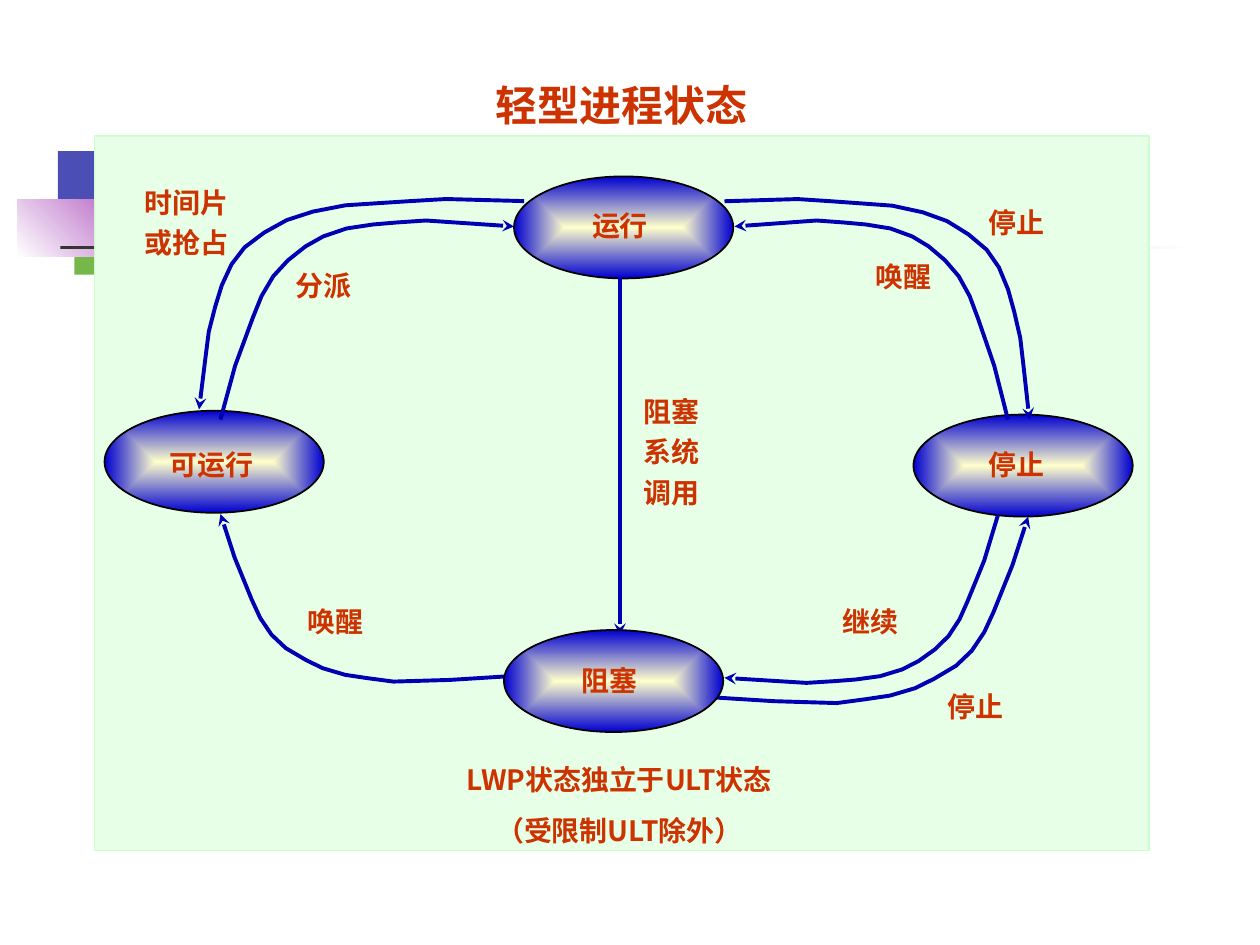
from lxml import etree
from pptx import Presentation
from pptx import util as u
from pptx.dml.color import RGBColor
from pptx.enum import shapes, text
from pptx.oxml.ns import qn

COLUMNS, ROWS = 10, 7.5
SLIDE_WIDTH, SLIDE_HEIGHT = u.Inches(10), u.Inches(7.5)
FONT = "Noto Sans CJK SC"
COLORS = {
    "text": "CC3300", "arrow": "0000B2", "panel": "E7FFE7", "panel_edge": "CCFFCC",
    "state_core": "FFFFCC", "state_rim": "0000D0", "state_edge": "000000",
    "blue": "4B4EB5", "green": "76B749", "purple": "C481CF",
    "dark": "333333", "white": "FFFFFF",
}
STATE_SIZE = (1.74, 0.81)

INNER_BEND = [
    (0, 0.03), (0.2, 0.01), (0.3, 0), (0.4, 0.01), (0.48, 0.02), (0.57, 0.04),
    (0.65, 0.08), (0.71, 0.13), (0.77, 0.2), (0.82, 0.28), (0.86, 0.38),
    (0.89, 0.49), (0.92, 0.61), (0.95, 0.73), (1, 1),
]
OUTER_BEND = [
    (0, 0.01), (0.24, 0), (0.35, 0.01), (0.45, 0.02), (0.55, 0.03), (0.65, 0.06),
    (0.73, 0.1), (0.8, 0.16), (0.86, 0.23), (0.9, 0.31), (0.93, 0.41),
    (0.95, 0.51), (0.97, 0.63), (0.98, 0.75), (1, 1),
]
LOWER_BEND = [
    (0, 0.03), (0.19, 0.01), (0.39, 0), (0.48, 0.02), (0.56, 0.04), (0.64, 0.08),
    (0.7, 0.13), (0.77, 0.2), (0.82, 0.28), (0.86, 0.38), (0.89, 0.49),
    (0.95, 0.74), (1, 1),
]
TRANSITIONS = [
    (LOWER_BEND, 4, 5.41, -2.25, -1.33, "tailEnd"),
    (LOWER_BEND, 5.67, 5.58, 2.49, -1.48, "tailEnd"),
    (INNER_BEND, 5.83, 1.75, 2.17, 1.58, "headEnd"),
    (INNER_BEND, 4.08, 1.75, -2.33, 1.58, "headEnd"),
    (OUTER_BEND, 5.75, 1.58, 2.42, 1.75, "tailEnd"),
    (OUTER_BEND, 4.16, 1.58, -2.58, 1.67, "tailEnd"),
    (INNER_BEND, 5.75, 5.42, 2.17, -1.33, "headEnd"),
]
LABELS = [
    ("分派", 2.25, 2.08, 0.65, 0.37),
    ("唤醒", 6.85, 2.01, 0.65, 0.37),
    ("继续", 6.59, 4.75, 0.65, 0.37),
    ("时间片\n或抢占", 1.05, 1.42, 0.87, 0.69),
    ("停止", 7.75, 3.5, 0.65, 0.37),
    ("运行", 4.6, 1.61, 0.65, 0.37),
    ("阻塞\n系统\n调用", 5.01, 3.08, 0.65, 1.01),
    ("停止", 7.42, 5.42, 0.65, 0.37),
    ("停止", 7.75, 1.58, 0.65, 0.37),
    ("可运行", 1.25, 3.5, 0.87, 0.37),
    ("阻塞", 4.52, 5.22, 0.65, 0.37),
    ("唤醒", 2.34, 4.75, 0.65, 0.37),
]


def col(count):
    return round(SLIDE_WIDTH * count / COLUMNS)


def row(count):
    return round(SLIDE_HEIGHT * count / ROWS)


def area(left, top, width, height):
    return col(left), row(top), col(width), row(height)


def color(name):
    return RGBColor.from_string(COLORS[name])


def set_gradient(fill, start, end, angle=0):
    fill.gradient()
    fill.gradient_angle = angle
    for stop, name in zip(fill.gradient_stops, (start, end)):
        stop.color.rgb = color(name)
    for position, stop in enumerate(fill.gradient_stops):
        stop.position = position


def add_block(slide, place, fill, fade_to=None, angle=0, edge=None):
    block = slide.shapes.add_shape(shapes.MSO_SHAPE.RECTANGLE, *area(*place))
    block.shadow.inherit = False
    if fade_to:
        set_gradient(block.fill, fill, fade_to, angle)
    else:
        block.fill.solid()
        block.fill.fore_color.rgb = color(fill)
    if edge:
        block.line.color.rgb = color(edge)
        block.line.width = u.Pt(1)
    else:
        block.line.fill.background()


def add_state(slide, left, top):
    state = slide.shapes.add_shape(shapes.MSO_SHAPE.OVAL, *area(left, top, *STATE_SIZE))
    state.shadow.inherit = False
    set_gradient(state.fill, "state_core", "state_rim")
    gradient = state._element.spPr.find(qn("a:gradFill"))
    gradient.remove(gradient.find(qn("a:lin")))
    glow = etree.SubElement(gradient, qn("a:path"), path="rect")
    etree.SubElement(glow, qn("a:fillToRect"), l="50000", t="50000", r="50000", b="50000")
    state.line.color.rgb = color("state_edge")
    state.line.width = u.Pt(1)


def style_arrow(arrow, end):
    arrow.line.color.rgb = color("arrow")
    arrow.line.width = u.Pt(2.25)
    etree.SubElement(arrow.line._get_or_add_ln(), qn(f"a:{end}"), type="stealth")


def add_transition(slide, bend, start, crest, reach, drop, end):
    points = [(col(start + reach * x), row(crest + drop * y)) for x, y in bend]
    builder = slide.shapes.build_freeform(*points[0])
    builder.add_line_segments(points[1:], close=False)
    transition = builder.convert_to_shape()
    transition.shadow.inherit = False
    transition.fill.background()
    style_arrow(transition, end)


def add_blocking_call(slide):
    call = slide.shapes.add_connector(
        shapes.MSO_CONNECTOR.STRAIGHT, col(4.92), row(2.2), col(4.92), row(5.04))
    style_arrow(call, "tailEnd")
    etree.SubElement(call._element.spPr, qn("a:effectLst"))


def write(box, wording, size=16, wrap=False, align=text.PP_ALIGN.LEFT, gap=4):
    frame = box.text_frame
    frame.text = wording
    frame.word_wrap = wrap
    frame.auto_size = text.MSO_AUTO_SIZE.SHAPE_TO_FIT_TEXT
    frame.vertical_anchor = text.MSO_ANCHOR.TOP
    for index, paragraph in enumerate(frame.paragraphs):
        paragraph.alignment = align
        paragraph.space_before = u.Pt(gap if index else 0)
        for run in paragraph.runs:
            run.font.size = u.Pt(size)
            run.font.bold = True
            run.font.color.rgb = color("text")
            run.font.name = FONT
            etree.SubElement(run._r.get_or_add_rPr(), qn("a:ea"), typeface=FONT)


def add_label(slide, wording, *place, **style):
    write(slide.shapes.add_textbox(*area(*place)), wording, **style)


def place_title(slide, wording):
    title = slide.shapes.title
    title.left, title.top, title.width, title.height = area(3.83, 0.58, 2.25, 0.5)
    write(title, wording, size=24, wrap=True)


def add_backdrop(slide):
    add_block(slide, (0.46, 1.2, 0.48, 0.52), "blue")
    add_block(slide, (0.59, 1.66, 0.46, 0.52), "green")
    add_block(slide, (0.14, 1.58, 0.61, 0.46), "white", fade_to="purple", angle=45)
    add_block(slide, (0.83, 1.08, 0.03, 1.15), "dark")
    add_block(slide, (0.48, 1.95, 9, 0.03), "dark", fade_to="white")
    add_block(slide, (0.75, 1.08, 8.37, 5.67), "panel", edge="panel_edge")


def main():
    deck = Presentation()
    deck.slide_width, deck.slide_height = SLIDE_WIDTH, SLIDE_HEIGHT
    slide = deck.slides.add_slide(deck.slide_layouts[5])
    place_title(slide, "轻型进程状态")
    add_backdrop(slide)
    for corner in [(0.83, 3.26), (4.08, 1.4), (7.25, 3.29)]:
        add_state(slide, *corner)
    add_blocking_call(slide)
    for transition in TRANSITIONS:
        add_transition(slide, *transition)
    add_state(slide, 4, 5)
    for label in LABELS:
        add_label(slide, *label)
    add_label(slide, "LWP状态独立于ULT状态\n（受限制ULT除外）", 3.5, 6, 2.83, 0.77,
              wrap=True, align=text.PP_ALIGN.CENTER, gap=10)
    deck.save("out.pptx")


if __name__ == "__main__":
    main()
